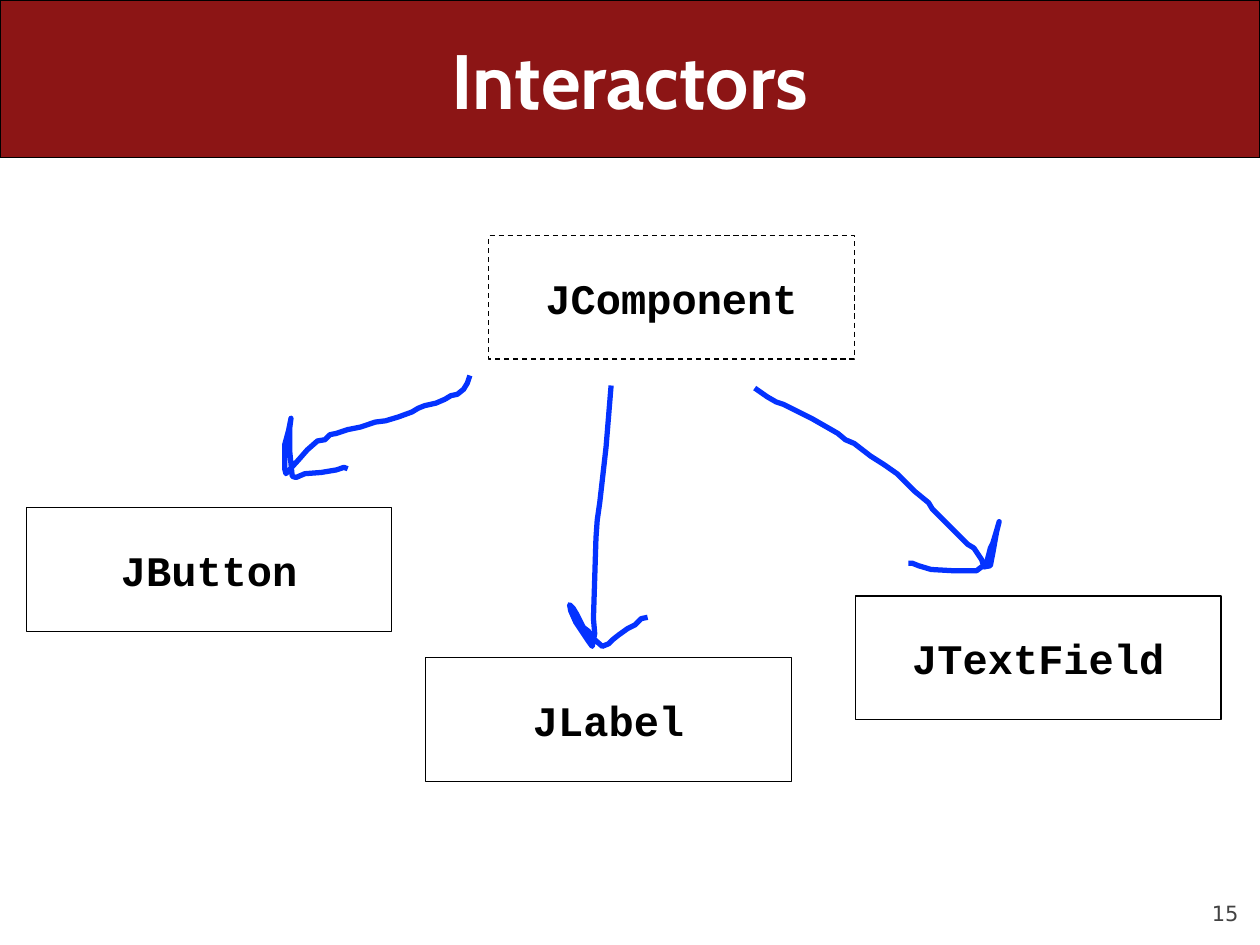
from dataclasses import dataclass
from typing import NamedTuple

from lxml import etree
from pptx import Presentation
from pptx import util as u
from pptx.dml.color import RGBColor
from pptx.enum import dml, shapes, text
from pptx.oxml.ns import qn


class TextStyle(NamedTuple):
    font: str
    size: float
    color: str
    bold: bool = True
    align: text.PP_ALIGN = text.PP_ALIGN.CENTER
    anchor: text.MSO_ANCHOR = text.MSO_ANCHOR.MIDDLE


@dataclass(frozen=True)
class Theme:
    banner: str = "8C1515"
    paper: str = "FFFFFF"
    outline: str = "000000"
    ink: str = "0432FF"
    outline_width: float = 0.75
    ink_width: float = 3
    title: TextStyle = TextStyle("Cabin", 44, "FFFFFF")
    code: TextStyle = TextStyle("Courier New", 24, "000000")
    number: TextStyle = TextStyle("DejaVu Sans", 12, "424242", False,
                                  text.PP_ALIGN.RIGHT, text.MSO_ANCHOR.BOTTOM)


class Area(NamedTuple):
    left: float
    top: float
    width: float
    height: float

    def lengths(self) -> list:
        return [u.Inches(value) for value in self]


class ClassBox(NamedTuple):
    name: str
    left: float
    top: float
    dashed: bool = False


class Stroke(NamedTuple):
    points: list


THEME = Theme()
BOX_WIDTH, BOX_HEIGHT = 2.9, 0.98

CLASS_BOXES = [
    ClassBox("JComponent", 3.88, 1.87, dashed=True),
    ClassBox("JButton", 0.21, 4.03),
    ClassBox("JTextField", 6.79, 4.73),
    ClassBox("JLabel", 3.38, 5.22),
]

# Hand-drawn arrows, each one continuous pen stroke.
TO_BUTTON = Stroke([
    (3.73, 2.98), (3.71, 3.04), (3.68, 3.09), (3.63, 3.13), (3.58, 3.14),
    (3.53, 3.17), (3.46, 3.2), (3.37, 3.22), (3.32, 3.24), (3.27, 3.27),
    (3.16, 3.31), (3.06, 3.34), (2.98, 3.35), (2.86, 3.39), (2.76, 3.41),
    (2.67, 3.44), (2.62, 3.45), (2.58, 3.49), (2.52, 3.5), (2.44, 3.57),
    (2.37, 3.65), (2.27, 3.76), (2.26, 3.72), (2.26, 3.53), (2.29, 3.42),
    (2.31, 3.32), (2.3, 3.4), (2.3, 3.58), (2.32, 3.78), (2.35, 3.79),
    (2.42, 3.76), (2.55, 3.75), (2.67, 3.73), (2.73, 3.71), (2.76, 3.72),
])
TO_LABEL = Stroke([
    (4.85, 3.06), (4.81, 3.55), (4.76, 3.99), (4.74, 4.13), (4.73, 4.27),
    (4.71, 4.91), (4.72, 5.03), (4.7, 5.13), (4.67, 5.09), (4.63, 5.03),
    (4.57, 4.94), (4.53, 4.85), (4.52, 4.8), (4.55, 4.83), (4.58, 4.88),
    (4.63, 4.98), (4.67, 5.01), (4.7, 5.06), (4.78, 5.13), (4.83, 5.11),
    (4.86, 5.08), (4.91, 5.04), (4.98, 4.99), (5.04, 4.96), (5.09, 4.91),
    (5.14, 4.9),
])
TO_TEXT_FIELD = Stroke([
    (5.99, 3.08), (6.09, 3.15), (6.16, 3.19), (6.22, 3.21), (6.44, 3.32),
    (6.65, 3.44), (6.71, 3.49), (6.78, 3.52), (6.91, 3.62), (7.02, 3.69),
    (7.12, 3.76), (7.26, 3.9), (7.37, 3.99), (7.4, 4.04), (7.47, 4.11),
    (7.63, 4.27), (7.68, 4.32), (7.73, 4.35), (7.79, 4.44), (7.81, 4.5),
    (7.86, 4.49), (7.88, 4.39), (7.91, 4.22), (7.93, 4.14), (7.91, 4.21),
    (7.88, 4.31), (7.86, 4.35), (7.83, 4.47), (7.75, 4.53), (7.57, 4.53),
    (7.39, 4.52), (7.29, 4.49), (7.24, 4.47), (7.21, 4.47),
])


def set_all(target, values: dict) -> None:
    for name, value in values.items():
        setattr(target, name, value)


def write(shape, words: str, style: TextStyle, **frame_format):
    frame = shape.text_frame
    set_all(frame, {"vertical_anchor": style.anchor, **frame_format})
    para = frame.paragraphs[0]
    para.alignment = style.align
    span = para.add_run()
    span.text = words
    set_all(span.font, {"name": style.font, "size": u.Pt(style.size),
                        "bold": style.bold})
    span.font.color.rgb = RGBColor.from_string(style.color)
    return para


def set_line(shape, color: str, width: float) -> None:
    shape.shadow.inherit = False
    shape.line.color.rgb = RGBColor.from_string(color)
    shape.line.width = u.Pt(width)


def add_panel(page, area: Area, fill: str):
    """Add a filled rectangle with the thin outline of the theme."""
    panel = page.shapes.add_shape(shapes.MSO_SHAPE.RECTANGLE, *area.lengths())
    panel.fill.solid()
    panel.fill.fore_color.rgb = RGBColor.from_string(fill)
    set_line(panel, THEME.outline, THEME.outline_width)
    return panel


def add_text(page, area: Area, words: str, style: TextStyle, **frame_format):
    box = page.shapes.add_textbox(*area.lengths())
    return write(box, words, style, word_wrap=True, **frame_format)


def add_class_box(page, item: ClassBox) -> None:
    area = Area(item.left, item.top, BOX_WIDTH, BOX_HEIGHT)
    box = add_panel(page, area, THEME.paper)
    if item.dashed:
        box.line.dash_style = dml.MSO_LINE.DASH
    write(box, item.name, THEME.code, word_wrap=False)


def add_stroke(page, stroke: Stroke) -> None:
    start, *rest = [(u.Inches(x), u.Inches(y)) for x, y in stroke.points]
    builder = page.shapes.build_freeform(*start)
    builder.add_line_segments(rest, close=False)
    pen = builder.convert_to_shape()
    pen.fill.background()
    set_line(pen, THEME.ink, THEME.ink_width)
    etree.SubElement(pen.line._get_or_add_ln(), qn("a:round"))


def main() -> None:
    deck = Presentation()
    set_all(deck, {"slide_width": u.Inches(10), "slide_height": u.Inches(7.5)})
    page = deck.slides.add_slide(deck.slide_layouts[6])

    margins = ("margin_left", "margin_top", "margin_right", "margin_bottom")
    number = add_text(page, Area(9, 6.95, 0.83, 0.4), "15", THEME.number,
                      **dict.fromkeys(margins, 0))
    number.space_before = u.Pt(5)
    add_panel(page, Area(0, 0, 10, 1.25), THEME.banner)
    add_text(page, Area(0.5, 0, 9, 1.25), "Interactors", THEME.title)
    for item in CLASS_BOXES:
        add_class_box(page, item)
    for stroke in (TO_BUTTON, TO_LABEL, TO_TEXT_FIELD):
        add_stroke(page, stroke)
    deck.save("out.pptx")


if __name__ == "__main__":
    main()
